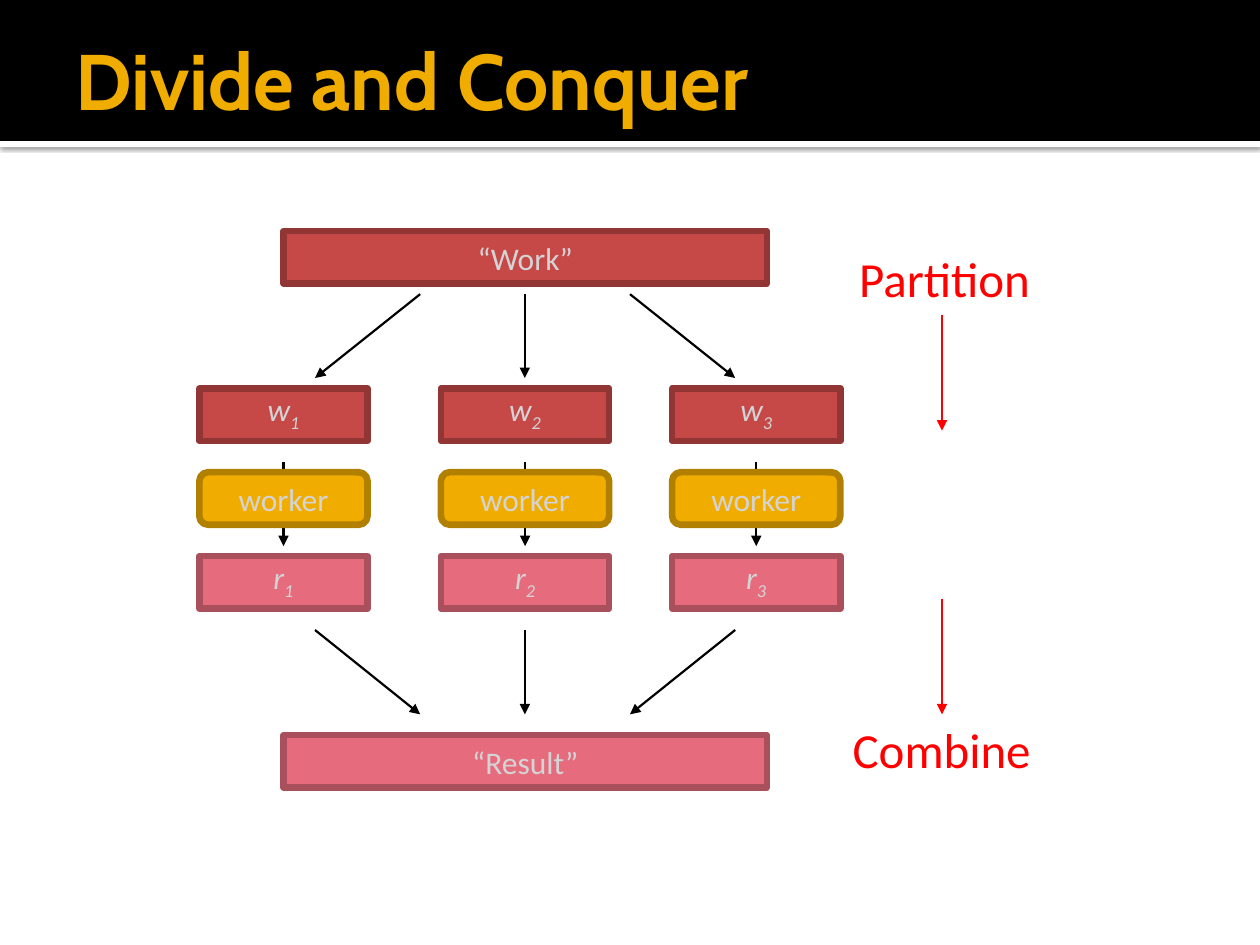
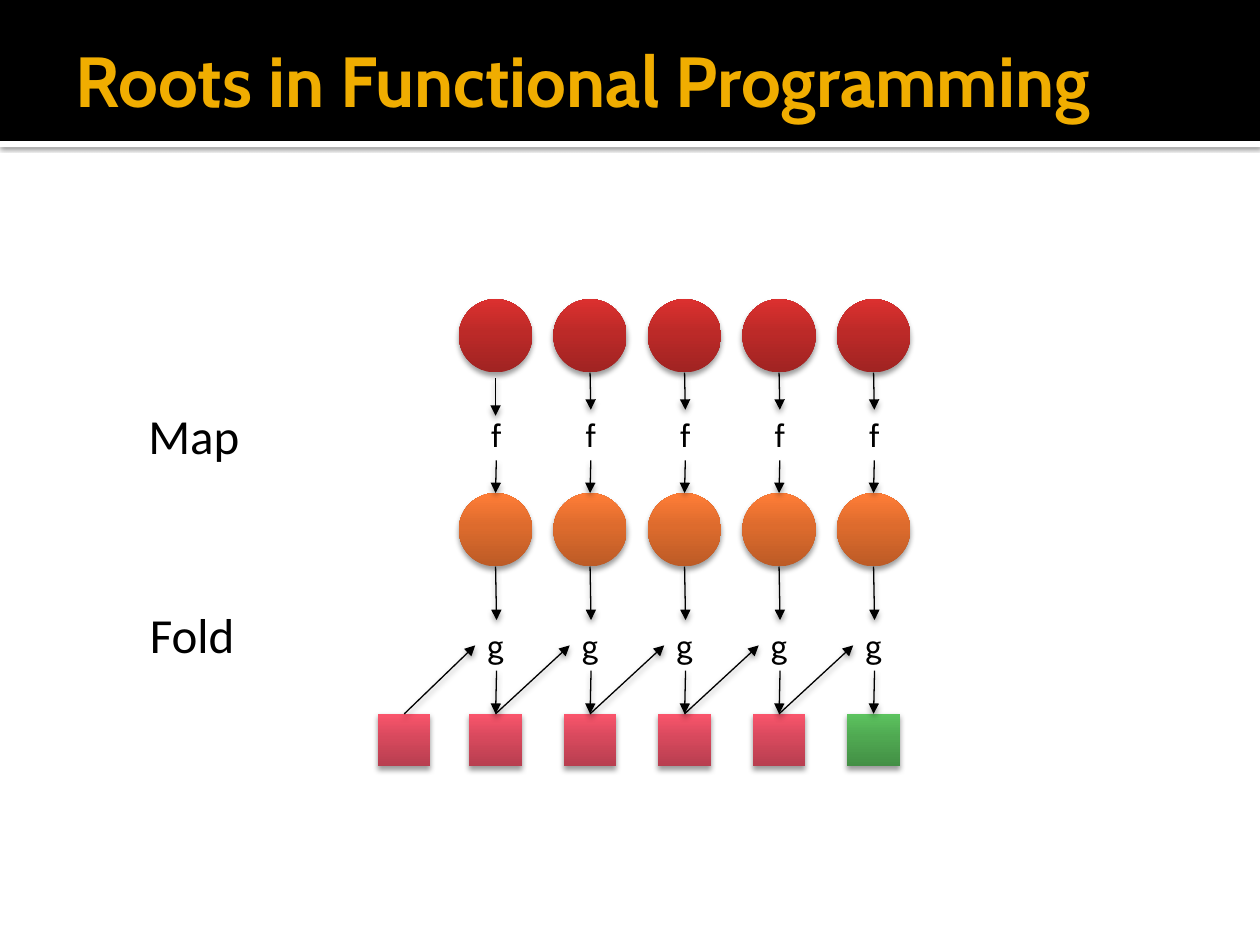
"""Build two slides on divide and conquer and its roots in functional programming."""
from copy import deepcopy

from lxml.etree import SubElement
from pptx import Presentation
from pptx.dml.color import RGBColor
from pptx.enum.shapes import MSO_CONNECTOR, MSO_SHAPE
from pptx.enum.text import MSO_ANCHOR, MSO_AUTO_SIZE, PP_ALIGN
from pptx.oxml.ns import qn
from pptx.util import Cm, Pt

BLACK = RGBColor(0x00, 0x00, 0x00)
WHITE = RGBColor(0xFF, 0xFF, 0xFF)
GOLD = RGBColor(0xF0, 0xAD, 0x00)
GOLD_EDGE = RGBColor(0xB2, 0x80, 0x00)
BRICK = RGBColor(0xC6, 0x48, 0x47)
BRICK_EDGE = RGBColor(0x92, 0x35, 0x35)
PINK = RGBColor(0xE6, 0x6C, 0x7D)
PINK_EDGE = RGBColor(0xAA, 0x50, 0x5C)
SILVER = RGBColor(0xD4, 0xD4, 0xD6)
SIGNAL = RGBColor(0xFF, 0x00, 0x00)
RED_STOPS = RGBColor(0xA0, 0x23, 0x22), RGBColor(0xBC, 0x2A, 0x28), RGBColor(0xDC, 0x30, 0x2F)
ORANGE_STOPS = RGBColor(0xBC, 0x5B, 0x26), RGBColor(0xDD, 0x6B, 0x2D), RGBColor(0xFF, 0x7D, 0x37)
ROSE_STOPS = RGBColor(0xB7, 0x3E, 0x4F), RGBColor(0xD7, 0x49, 0x5D), RGBColor(0xFA, 0x55, 0x6C)
GREEN_STOPS = RGBColor(0x43, 0x8F, 0x45), RGBColor(0x4F, 0xA8, 0x51), RGBColor(0x5C, 0xC3, 0x5F)

HEADING, BODY = "Cabin", "Calibri"
TOP, LEFT, BOTTOM = 0, 1, 2


class Deck:
    def __init__(self):
        self.prs = Presentation()
        self.prs.slide_width, self.prs.slide_height = Cm(25.4), Cm(19.05)
        self.s = None

    def slide(self, title, size):
        self.s = self.prs.slides.add_slide(self.prs.slide_layouts[5])
        stripe = self.shape(MSO_SHAPE.RECTANGLE, 0, 2.84, 25.4, 0.13, WHITE)
        self.shadow(stripe._element.spPr.find(qn("a:effectLst")), 60, 2.5, 0.8)
        band = self.shape(MSO_SHAPE.RECTANGLE, 0, 0, 25.4, 2.84, BLACK)
        for sp in (band, stripe):
            self.s.shapes._spTree.insert(2, sp._element)
        sp = self.s.shapes.title
        sp.left, sp.top, sp.width, sp.height = Cm(1.27), Cm(0.43), Cm(22.86), Cm(2.34)
        tf = sp.text_frame
        tf.auto_size, tf.word_wrap = MSO_AUTO_SIZE.NONE, True
        tf.vertical_anchor = MSO_ANCHOR.MIDDLE
        tf.margin_left = Cm(0.25)
        tf.margin_right = tf.margin_top = tf.margin_bottom = Cm(0.13)
        self.add_text(tf, [title], size, GOLD, HEADING, bold=True)

    def add_text(self, tf, texts, size, color, font, align=PP_ALIGN.LEFT, bold=False, italic=False):
        p = tf.paragraphs[0]
        p.alignment = align
        for text in texts:
            r = p.add_run()
            r.text = text
            r.font.size, r.font.name = Pt(size), font
            r.font.bold, r.font.italic = bold, italic
            r.font.color.rgb = color
        return p

    def shadow(self, effects, alpha, blur, distance):
        outer = SubElement(effects, qn("a:outerShdw"), blurRad=str(Pt(blur)),
                           dist=str(Pt(distance)), dir="5400000", rotWithShape="0")
        color = SubElement(outer, qn("a:srgbClr"), val=str(BLACK))
        SubElement(color, qn("a:alpha"), val=str(alpha * 1000))

    def shape(self, kind, x, y, w, h, fill, edge=None):
        sp = self.s.shapes.add_shape(kind, Cm(x), Cm(y), Cm(w), Cm(h))
        sp.shadow.inherit = False
        sp.fill.solid()
        sp.fill.fore_color.rgb = fill
        if edge is None:
            sp.line.fill.background()
        else:
            sp.line.color.rgb, sp.line.width = edge, Pt(3.78)
        return sp

    def box(self, x, y, w, text, fill, edge, subscript=None, kind=MSO_SHAPE.RECTANGLE):
        sp = self.shape(kind, x, y, w, 1.06, fill, edge)
        tf = sp.text_frame
        tf.word_wrap, tf.vertical_anchor = True, MSO_ANCHOR.MIDDLE
        texts = [text, subscript] if subscript else [text]
        p = self.add_text(tf, texts, 18, SILVER, BODY, PP_ALIGN.CENTER, italic=bool(subscript))
        if subscript:
            tf.margin_top = 0
            p.runs[1].font._element.set("baseline", "-25000")

    def glossy(self, kind, x, y, size, colors):
        sp = self.shape(kind, x, y, size, size, colors[0])
        sp.fill.gradient()
        sp.fill.gradient_angle = 90
        stops = sp._element.spPr.find(".//" + qn("a:gsLst"))
        stops.insert(1, deepcopy(stops[0]))
        for stop, position, color in zip(sp.fill.gradient_stops, (0, 0.55, 1), colors):
            stop.position, stop.color.rgb = position, color
        self.shadow(sp._element.spPr.find(qn("a:effectLst")), 38, 3.1, 2)
        return sp

    def label(self, x, y, w, h, text, size, color, font):
        sp = self.s.shapes.add_textbox(Cm(x), Cm(y), Cm(w), Cm(h))
        tf = sp.text_frame
        tf.word_wrap, tf.auto_size = False, MSO_AUTO_SIZE.SHAPE_TO_FIT_TEXT
        self.add_text(tf, [text], size, color, font)
        return sp

    def arrow(self, start=(0, 0), stop=(0, 0), begin=None, end=None,
              color=BLACK, width=0.75, shadow=False):
        c = self.s.shapes.add_connector(MSO_CONNECTOR.STRAIGHT, *map(Cm, start + stop))
        if begin:
            c.begin_connect(*begin)
        if end:
            c.end_connect(*end)
        c.line.color.rgb, c.line.width = color, Pt(width)
        SubElement(c.line._get_or_add_ln(), qn("a:tailEnd"), type="triangle")
        effects = SubElement(c._element.spPr, qn("a:effectLst"))
        if shadow:
            self.shadow(effects, 38, 3.5, 2)


def divide_and_conquer(deck):
    deck.slide("Divide and Conquer", 45)
    box_w, row_top, row_step = 3.39, 7.83, 1.69
    deck.box(5.72, 4.66, 9.74, "“Work”", BRICK, BRICK_EDGE)
    deck.box(5.72, 14.82, 9.74, "“Result”", PINK, PINK_EDGE)
    for number, x in enumerate((4.02, 8.89, 13.55), 1):
        center = x + box_w / 2
        deck.arrow((center, 9.31), (center, 11.01), width=1.25)
        deck.box(x, row_top, box_w, "w", BRICK, BRICK_EDGE, str(number))
        deck.box(x, row_top + row_step, box_w, "worker", GOLD, GOLD_EDGE,
                 kind=MSO_SHAPE.ROUNDED_RECTANGLE)
        deck.box(x, row_top + 2 * row_step, box_w, "r", PINK, PINK_EDGE, str(number))
    for inner, outer in ((8.47, 6.35), (10.58, 10.58), (12.7, 14.82)):
        deck.arrow((inner, 5.93), (outer, 7.62), width=1.25)
        deck.arrow((outer, 12.7), (inner, 14.4), width=1.25)
    deck.label(17.07, 4.88, 4.01, 1.45, "Partition", 28, SIGNAL, BODY)
    deck.label(16.94, 14.38, 4.24, 1.45, "Combine", 28, SIGNAL, BODY)
    for top in (6.35, 12.07):
        deck.arrow((18.99, top), (18.99, top + 2.33), color=SIGNAL, width=1.5)


def functional_roots(deck):
    deck.slide("Roots in Functional Programming", 40.5)
    pitch, circle, square = 7.62 / 4, 1.48, 1.06
    input_top, mapped_top, fold_top = 6.03, 9.94, 14.39
    state = deck.glossy(MSO_SHAPE.RECTANGLE, 7.62, fold_top, square, ROSE_STOPS)
    for i in range(5):
        shift = i * pitch
        x = 9.25 + shift
        center = x + circle / 2
        deck.glossy(MSO_SHAPE.OVAL, x, input_top, circle, RED_STOPS)
        mapped = deck.glossy(MSO_SHAPE.OVAL, x, mapped_top, circle, ORANGE_STOPS)
        f = deck.label(9.65 + shift, 8.26, 0.71, 1.02, "f", 18, BLACK, HEADING)
        g = deck.label(9.58 + shift, 12.5, 0.86, 1.02, "g", 18, BLACK, HEADING)
        folded = deck.glossy(MSO_SHAPE.RECTANGLE, 9.46 + shift, fold_top, square,
                             GREEN_STOPS if i == 4 else ROSE_STOPS)
        if i == 0:
            deck.arrow((center, 7.62), (center, 8.38), shadow=True)
        else:
            deck.arrow((center, input_top + circle), end=(f, TOP), shadow=True)
        deck.arrow(begin=(f, BOTTOM), end=(mapped, TOP), shadow=True)
        deck.arrow((center, mapped_top + circle), end=(g, TOP), shadow=True)
        deck.arrow(begin=(state, TOP), end=(g, LEFT), shadow=True)
        deck.arrow(begin=(g, BOTTOM), end=(folded, TOP), shadow=True)
        state = folded
    deck.label(2.74, 8.05, 2.69, 1.45, "Map", 28, BLACK, BODY)
    deck.label(2.77, 12.07, 2.57, 1.45, "Fold", 28, BLACK, BODY)


def main():
    deck = Deck()
    divide_and_conquer(deck)
    functional_roots(deck)
    deck.prs.save("out.pptx")


if __name__ == "__main__":
    main()
